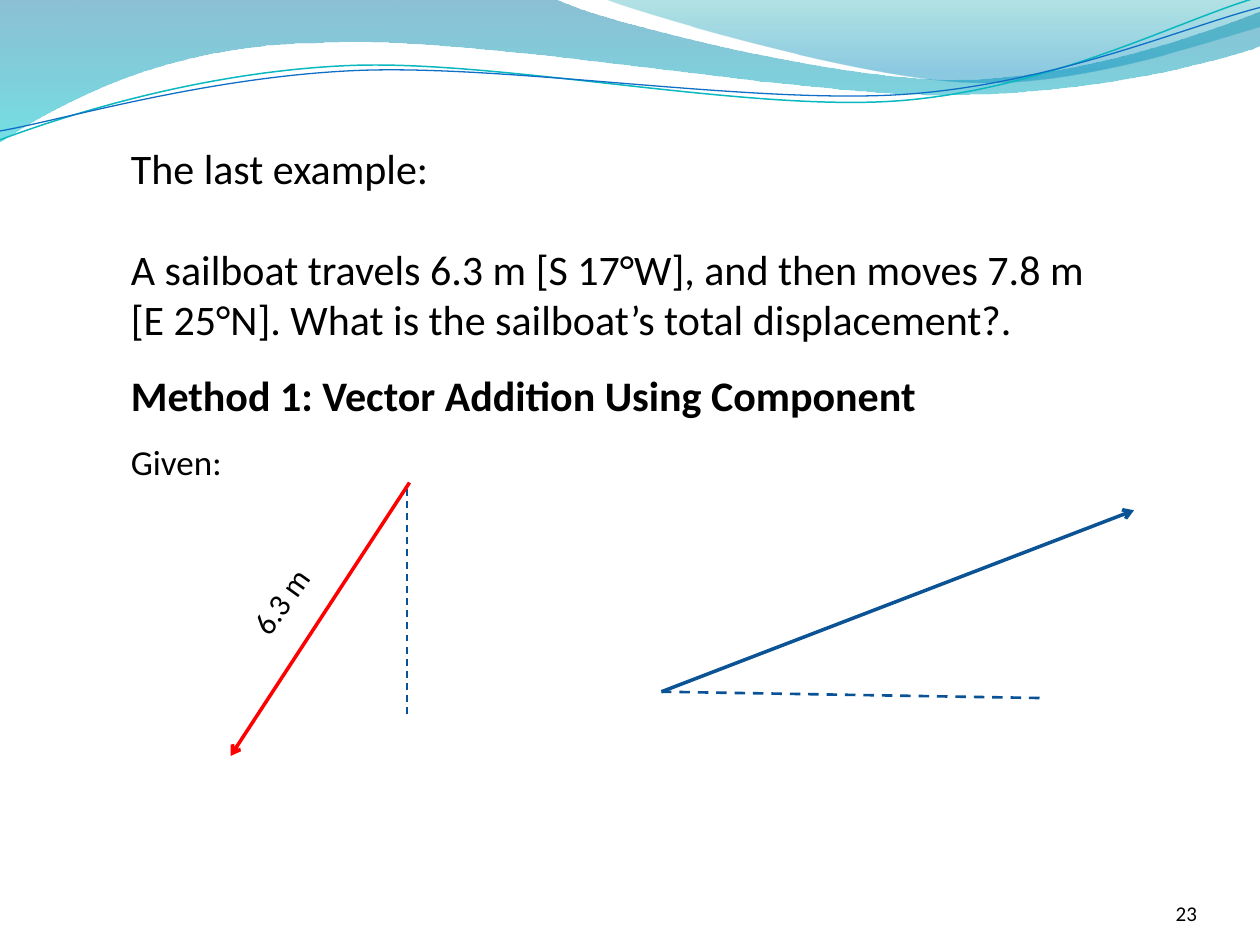
import math

import pptx
import pptx.util
from lxml import etree
from pptx.dml.color import RGBColor
from pptx.enum.dml import MSO_LINE
from pptx.enum.shapes import MSO_CONNECTOR
from pptx.enum.text import MSO_ANCHOR, PP_ALIGN
from pptx.oxml.ns import qn
from pptx.util import Inches, Pt

BLACK = RGBColor(0, 0, 0)
RED = RGBColor(0xFF, 0, 0)
NAVY = RGBColor(0x09, 0x52, 0x95)
BLUE = RGBColor(0x0B, 0x53, 0x94)
TEAL_LINE = RGBColor(0x0A, 0xB8, 0xBF)
BLUE_LINE = RGBColor(0x0F, 0x6F, 0xC6)
DEEP_BLUE = RGBColor(0, 0x74, 0xA1)
CYAN = RGBColor(0, 0xC6, 0xCF)
TEAL = RGBColor(0, 0xA1, 0xA9)
SKY = RGBColor(0, 0x8B, 0xBF)
FONT = "Calibri"

# Waves: a tuple of 2 numbers is a straight step, of 6 a cubic curve.
# Bands carry gradient stops (position, colour, opacity %).
BANDS = [
    ([(0, -0.01), (4.4, -0.01), (4.76, 0.17, 6.64, 0.63, 7.58, 0.63),
      (8.53, 0.63, 9.58, 0.26, 10, 0.09), (10.01, 0.36),
      (9.83, 0.44, 8.7, 0.76, 7.46, 0.75), (6.22, 0.75, 3.82, 0.28, 2.57, 0.34),
      (1.29, 0.35, 0.46, 0.83, -0.01, 1.13)],
     [(0, DEEP_BLUE, 45), (1, CYAN, 55)]),
    ([(4.79, -0.01), (5.09, 0.11, 6.82, 0.62, 7.69, 0.65),
      (8.56, 0.69, 9.61, 0.32, 10, 0.21), (10, 0)],
     [(0, TEAL, 30), (0.8, SKY, 45)]),
]
# Ripples carry the centre they are turned about, colour and width
TILT = -2.7
RIPPLES = [
    ([(0, 1.11), (0.48, 0.93, 1.58, 0.57, 2.77, 0.52),
      (3.95, 0.47, 5.93, 0.89, 7.13, 0.8), (8.33, 0.71, 9.38, 0.15, 9.98, -0.02)],
     (4.99, 0.57), TEAL_LINE, 0.85),
    ([(0, 1.04), (0.47, 0.96, 1.64, 0.61, 2.83, 0.56),
      (4.03, 0.51, 5.97, 0.83, 7.17, 0.75), (8.36, 0.67, 9.41, 0.21, 10, 0.06)],
     (5, 0.59), BLUE_LINE, 0.75),
]

# Text: paragraphs of (text, space before, font values)
PROBLEM = [
    ("The last example:", 0, {"size": Pt(24)}),
    ("A sailboat travels 6.3 m [S 17°W], and then moves 7.8 m [E 25°N]. "
     "What is the sailboat’s total displacement?.", 29, {"size": Pt(24)}),
    ("Method 1: Vector Addition Using Component", 14.4,
     {"size": Pt(24), "bold": True}),
    ("Given:", 11.7, {"size": Pt(20)}),
]
LABEL = [("6.3 m", 0, {"size": Pt(18)})]
NUMBER = [("23", 0, {"size": Pt(12)})]

# Vectors: start, end, colour, width, dashed, arrowhead
DOWN_AXIS = ((3.23, 5.67), (3.23, 3.84), NAVY, 1, True, False)
EAST_AXIS = ((8.25, 5.54), (5.25, 5.49), NAVY, 1.5, True, False)
FIRST_LEG = ((3.25, 3.83), (1.83, 6), RED, 2, False, True)
SECOND_LEG = ((5.25, 5.49), (9, 4.05), BLUE, 2, False, True)


def turn(step, centre, degrees):
    """Turn every point of a step about a centre."""
    c, n = math.cos(math.radians(degrees)), math.sin(math.radians(degrees))
    turned = []
    for x, y in zip(step[::2], step[1::2]):
        dx, dy = x - centre[0], y - centre[1]
        turned += [centre[0] + dx * c - dy * n, centre[1] + dx * n + dy * c]
    return tuple(turned)


def add_wave(s, path, close):
    """Lay out all points as lines, then join each triple into a curve."""
    points = [(Inches(x), Inches(y)) for step in path
              for x, y in zip(step[::2], step[1::2])]
    builder = s.shapes.build_freeform(*points[0])
    builder.add_line_segments(points[1:], close=close)
    sp = builder.convert_to_shape()
    sp.shadow.inherit = False
    lines = iter(list(sp._element.iter(qn("a:lnTo"))))
    for step in path[1:]:
        line = next(lines)
        if len(step) == 6:
            curve = etree.Element(qn("a:cubicBezTo"))
            line.addprevious(curve)
            for part in (line, next(lines), next(lines)):
                curve.append(part[0])
                part.getparent().remove(part)
    return sp


def add_band(s, path, stops):
    sp = add_wave(s, path, True)
    sp.line.fill.background()
    sp.fill.gradient()
    sp.fill.gradient_angle = 270
    for stop, (position, colour, _) in zip(sp.fill.gradient_stops, stops):
        stop.position = position
        stop.color.rgb = colour
    for clr, (_, _, opacity) in zip(sp._element.spPr.iter(qn("a:srgbClr")), stops):
        etree.SubElement(clr, qn("a:alpha"), val=str(opacity * 1000))


def add_ripple(s, path, centre, colour, width):
    sp = add_wave(s, [turn(step, centre, -TILT) for step in path], False)
    sp.rotation = TILT
    sp.fill.background()
    sp.line.color.rgb = colour
    sp.line.width = Pt(width)


def add_text(s, box, paragraphs, rotation=0):
    sp = s.shapes.add_textbox(*map(Inches, box))
    sp.rotation = rotation
    tf = sp.text_frame
    tf.word_wrap = True
    for i, (text, before, values) in enumerate(paragraphs):
        p = tf.paragraphs[0] if i == 0 else tf.add_paragraph()
        if before:
            p.space_before = Pt(before)
        r = p.add_run()
        r.text = text
        for name, value in {"name": FONT, **values}.items():
            setattr(r.font, name, value)
        r.font.color.rgb = BLACK
    return tf


def add_vector(s, start, end, colour, width, dashed, arrow):
    line = s.shapes.add_connector(MSO_CONNECTOR.STRAIGHT, *map(Inches, start + end))
    line.line.color.rgb = colour
    line.line.width = Pt(width)
    if dashed:
        line.line.dash_style = MSO_LINE.DASH
    if arrow:
        etree.SubElement(line.line._get_or_add_ln(), qn("a:tailEnd"), type="arrow")
    etree.SubElement(line._element.spPr, qn("a:effectLst"))


def main():
    prs = pptx.Presentation()
    prs.slide_width, prs.slide_height = Inches(10), Inches(7.5)
    s = prs.slides.add_slide(prs.slide_layouts[6])

    # Wave decoration
    for band in BANDS:
        add_band(s, *band)
    for ripple in RIPPLES:
        add_ripple(s, *ripple)

    # Slide number
    tf = add_text(s, (8.67, 6.95, 0.83, 0.4), NUMBER)
    tf.vertical_anchor = MSO_ANCHOR.BOTTOM
    tf.paragraphs[0].alignment = PP_ALIGN.RIGHT
    for side in ("left", "top", "right", "bottom"):
        setattr(tf, f"margin_{side}", 0)

    # Problem and vector diagram
    add_text(s, (0.94, 1.08, 7.81, 3.43), PROBLEM)
    for vector in (DOWN_AXIS, EAST_AXIS, FIRST_LEG):
        add_vector(s, *vector)
    add_text(s, (1.81, 4.51, 0.92, 0.4), LABEL, 305.7)
    add_vector(s, *SECOND_LEG)

    prs.save("out.pptx")


if __name__ == "__main__":
    main()
